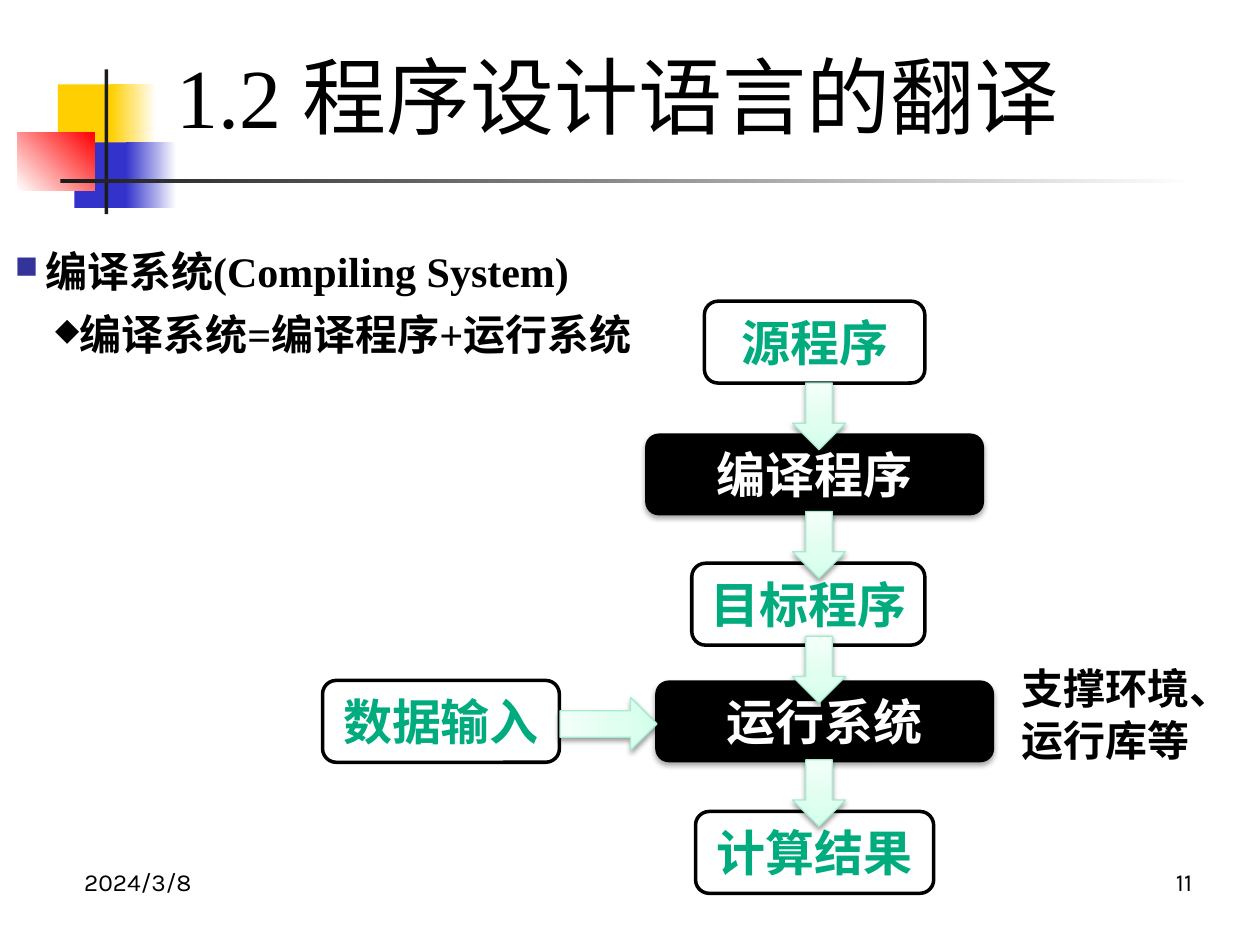
from lxml.etree import SubElement
from pptx import Presentation
from pptx.dml.color import RGBColor
from pptx.enum.shapes import MSO_SHAPE as Shape
from pptx.enum.text import MSO_ANCHOR as Anchor, PP_ALIGN as Align
from pptx.oxml.ns import qn
from pptx.util import Inches, Pt

BLACK = RGBColor(0x00, 0x00, 0x00)
WHITE = RGBColor(0xFF, 0xFF, 0xFF)
YELLOW = RGBColor(0xFF, 0xCF, 0x01)
BLUE = RGBColor(0x33, 0x33, 0xCC)
RED = RGBColor(0xFF, 0x00, 0x00)
CHARCOAL = RGBColor(0x1C, 0x1C, 0x1C)
INDIGO = RGBColor(0x33, 0x33, 0x99)
GREEN = RGBColor(0x00, 0xAB, 0x7E)
MINT_LINE = RGBColor(0xA5, 0xEB, 0xCD)
MINT_STOPS = [
    (0, RGBColor(0xD2, 0xFF, 0xEA)),
    (35, RGBColor(0xDF, 0xFF, 0xF0)),
    (100, RGBColor(0xF2, 0xFF, 0xF9)),
]
SERIF, SANS, FOOTER = "Times New Roman", "Noto Sans CJK SC", "Karla"


def set_gradient(shape, stops, clockwise=0):
    shape.fill.gradient()
    shape.fill.gradient_angle = (360 - clockwise) % 360
    stop_list = shape.fill._xPr.find(qn("a:gradFill")).find(qn("a:gsLst"))
    stop_list.clear()
    for percent, color in stops:
        stop = SubElement(stop_list, qn("a:gs"), pos=str(percent * 1000))
        SubElement(stop, qn("a:srgbClr"), val=str(color))


def add_shadow(shape, opacity, distance):
    effects = shape._element.spPr.find(qn("a:effectLst"))
    shadow = SubElement(
        effects, qn("a:outerShdw"), blurRad=str(Pt(3.1)), dist=str(Pt(distance)),
        dir="5400000", rotWithShape="0",
    )
    color = SubElement(shadow, qn("a:srgbClr"), val=str(BLACK))
    SubElement(color, qn("a:alpha"), val=str(opacity * 1000))


def add_block(page, kind, box, color=None):
    shape = page.shapes.add_shape(kind, *map(Inches, box))
    shape.shadow.inherit = False
    shape.line.fill.background()
    if color is not None:
        shape.fill.solid()
        shape.fill.fore_color.rgb = color
    return shape


def set_font(para, name, size, color=BLACK, bold=False):
    font = para.font
    font.size, font.bold, font.name = Pt(size), bold, name
    font.color.rgb = color
    SubElement(para._p.pPr.find(qn("a:defRPr")), qn("a:ea"), typeface=SANS)


def add_text(page, box, lines, anchor=Anchor.TOP):
    frame = page.shapes.add_textbox(*map(Inches, box)).text_frame
    frame.word_wrap = True
    frame.vertical_anchor = anchor
    frame.text = "\n".join(lines)
    return frame.paragraphs


def add_bullet(para, mark, color, margin, hanging):
    props = para._p.get_or_add_pPr()
    props.set("marL", str(Inches(margin)))
    props.set("indent", str(-Inches(hanging)))
    bullet_color = SubElement(props, qn("a:buClr"))
    SubElement(bullet_color, qn("a:srgbClr"), val=str(color))
    SubElement(props, qn("a:buSzPct"), val="75000")
    SubElement(props, qn("a:buChar"), char=mark)


def add_decoration(page, left, top):
    blocks = [
        (0.32, 0.12, 0.48, 0.52, YELLOW, None, 0),
        (0.74, 0.12, 0.36, 0.52, YELLOW, WHITE, 0),
        (0.45, 0.58, 0.46, 0.52, BLUE, None, 0),
        (0.86, 0.58, 0.4, 0.52, BLUE, WHITE, 0),
        (0, 0.5, 0.61, 0.46, WHITE, RED, 315),
        (0.69, 0, 0.03, 1.15, CHARCOAL, None, 0),
        (0.34, 0.87, 9, 0.03, CHARCOAL, WHITE, 0),
    ]
    for x, y, width, height, start, end, angle in blocks:
        block = add_block(page, Shape.RECTANGLE, (left + x, top + y, width, height), start)
        if end is not None:
            set_gradient(block, [(0, start), (100, end)], angle)


def add_title(page, box):
    para = add_text(page, box, ["1.2 程序设计语言的翻译"], Anchor.MIDDLE)[0]
    set_font(para, SERIF, 48)


def add_body(page, box):
    topic, detail = add_text(
        page, box, ["编译系统(Compiling System)", "编译系统=编译程序+运行系统"]
    )
    detail.level = 1
    detail.space_before = Pt(7)
    add_bullet(topic, "■", INDIGO, 0.24, 0.24)
    add_bullet(detail, "◆", BLACK, 0.5, 0.18)
    for para in (topic, detail):
        set_font(para, SERIF, 24, bold=True)


def add_side_note(page, box):
    paras = add_text(page, box, ["支撑环境、", "运行库等"])
    paras[1].space_before = Pt(1)
    for para in paras:
        set_font(para, SERIF, 24, bold=True)


def add_footer(page, left, top, width):
    for x, text, align in ((left, "2024/3/8", Align.LEFT), (left + 6.66, "11", Align.RIGHT)):
        para = add_text(page, (x, top, width, 0.52), [text])[0]
        para.alignment = align
        set_font(para, FOOTER, 14)


def add_step(page, box, text, is_system):
    step = add_block(page, Shape.ROUNDED_RECTANGLE, box, BLACK if is_system else WHITE)
    if is_system:
        add_shadow(step, 35, 1.8)
    else:
        step.line.color.rgb = BLACK
        step.line.width = Pt(2)
    frame = step.text_frame
    frame.text = text
    frame.vertical_anchor = Anchor.MIDDLE
    para = frame.paragraphs[0]
    para.alignment = Align.CENTER
    set_font(para, SANS, 28, WHITE if is_system else GREEN, True)


def add_arrow(page, box, rotation=0):
    arrow = add_block(page, Shape.DOWN_ARROW, box)
    arrow.rotation = rotation
    set_gradient(arrow, MINT_STOPS, 270)
    arrow.line.color.rgb = MINT_LINE
    arrow.line.width = Pt(0.75)
    add_shadow(arrow, 38, 1.6)


def add_flow(page, left, top):
    steps = [
        (3.03, 0, 1.75, "源程序", False),
        (2.56, 1.05, 2.69, "编译程序", True),
        (2.93, 2.08, 1.85, "目标程序", False),
        (2.64, 3.01, 2.69, "运行系统", True),
        (2.96, 4.05, 1.89, "计算结果", False),
        (0, 3.01, 1.88, "数据输入", False),
    ]
    for x, y, width, text, is_system in steps:
        add_step(page, (left + x, top + y, width, 0.65), text, is_system)
    for y in (0.65, 1.67, 2.66, 3.64):
        add_arrow(page, (left + 3.73, top + y, 0.42, 0.53))
    add_arrow(page, (left + 2.06, top + 2.97, 0.42, 0.77), 270)


def main():
    deck = Presentation()
    deck.slide_width, deck.slide_height = Inches(10), Inches(7.5)
    page = deck.slides.add_slide(deck.slide_layouts[6])
    add_decoration(page, 0.14, 0.55)
    add_footer(page, 0.57, 6.83, 2.33)
    add_title(page, (1.3, 0.27, 7.56, 0.96))
    add_body(page, (0.02, 1.9, 5.84, 1.11))
    add_side_note(page, (8.01, 5.21, 2, 1.06))
    add_flow(page, 2.56, 2.39)
    deck.save("out.pptx")


if __name__ == "__main__":
    main()
